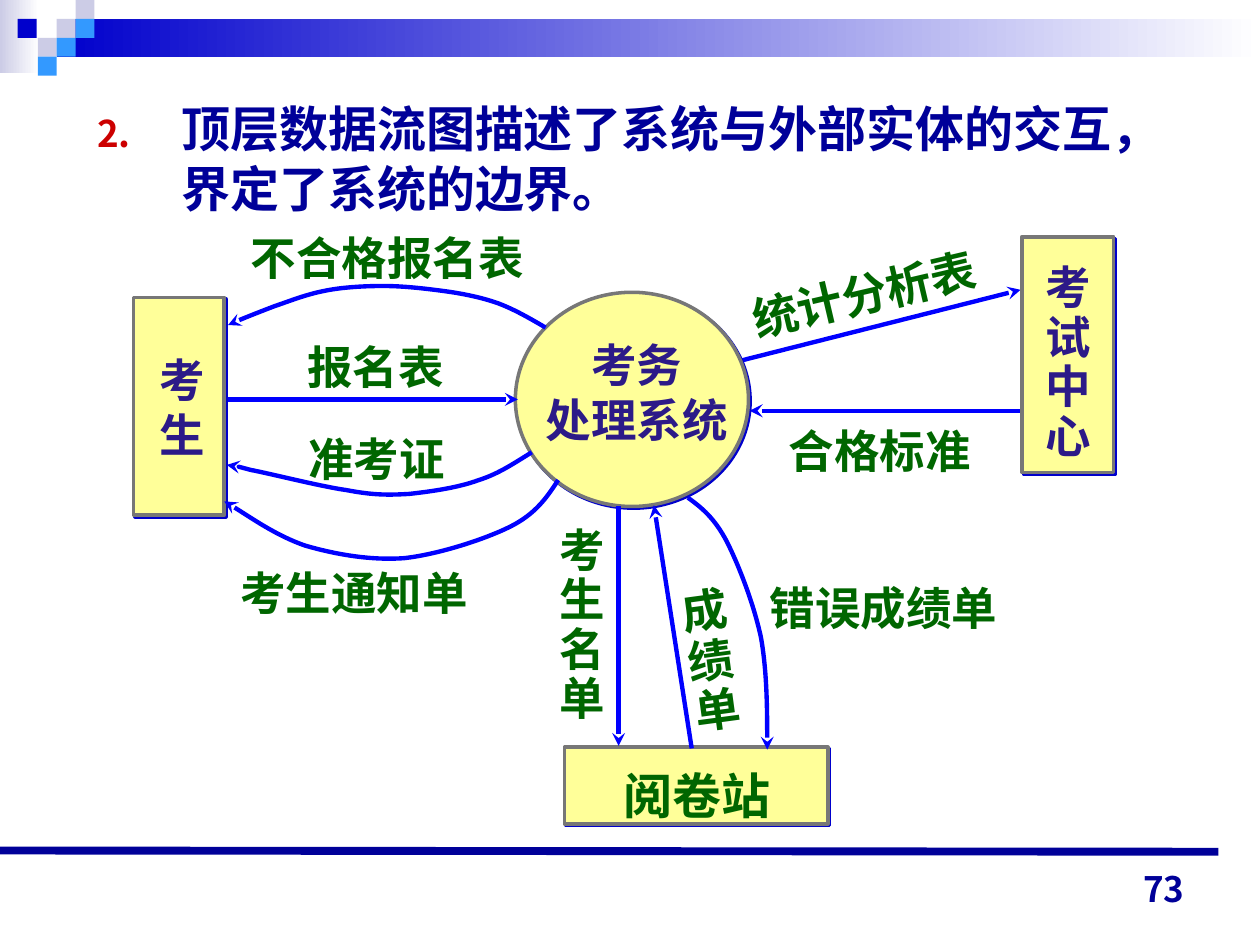
from dataclasses import dataclass

from lxml import etree
from pptx import Presentation
from pptx.dml.color import RGBColor
from pptx.enum.shapes import MSO_CONNECTOR, MSO_SHAPE
from pptx.enum.text import MSO_ANCHOR, MSO_AUTO_SIZE, PP_ALIGN
from pptx.oxml.ns import qn
from pptx.util import Pt

RECT, OVAL = MSO_SHAPE.RECTANGLE, MSO_SHAPE.OVAL
STRAIGHT = MSO_CONNECTOR.STRAIGHT
LEFT, CENTER, RIGHT = PP_ALIGN.LEFT, PP_ALIGN.CENTER, PP_ALIGN.RIGHT
TOP, BOTTOM = MSO_ANCHOR.TOP, MSO_ANCHOR.BOTTOM
NO_FIT = MSO_AUTO_SIZE.NONE
PX = 9144


@dataclass(frozen=True)
class Theme:
    font: str = "Noto Sans CJK SC"
    serif: str = "Times New Roman"
    number_font: str = "Noto Sans CJK JP"
    navy: str = "000099"
    blue: str = "0000CC"
    sky: str = "3399FF"
    pale: str = "CCCCE6"
    white: str = "FFFFFF"
    flow: str = "0000FF"
    node: str = "FFFF99"
    border: str = "777777"
    entity: str = "2C1A88"
    label: str = "006600"
    bullet: str = "CC0000"
    body_size: int = 28
    label_size: int = 26
    number_size: int = 20
    leading: float = 1.21
    tight: float = 1.09


T = Theme()


@dataclass(frozen=True)
class Node:
    kind: int
    box: tuple
    text_box: tuple
    lines: tuple
    color: str = T.entity
    size: int = T.label_size
    font: str = T.font
    align: int = LEFT
    leading: float = T.leading


@dataclass(frozen=True)
class Label:
    box: tuple
    lines: tuple
    leading: float = T.leading
    rotation: float = 0
    align: int = LEFT


NODES = (
    Node(RECT, (106, 236, 72, 173), (117, 270, 61, 97), ("考", "生")),
    Node(OVAL, (409, 232, 185, 170), (411, 258, 189, 97), ("考务", "处理系统"), align=CENTER),
    Node(RECT, (811, 188, 73, 187), (820, 201, 61, 166), tuple("考试中心"), leading=T.tight),
    Node(RECT, (448, 593, 209, 61), (485, 598, 138, 57), ("阅卷站",),
         T.label, T.body_size, T.serif),
)
LABELS = (
    Label((189, 173, 292, 53), ("不合格报名表",)),
    Label((234, 260, 137, 53), ("报名表",)),
    Label((235, 333, 189, 53), ("准考证",)),
    Label((181, 439, 260, 53), ("考生通知单",)),
    Label((536, 456, 71, 127), tuple("成绩单"), T.tight, -7.8),
    Label((616, 326, 181, 53), ("合格标准",)),
    Label((595, 455, 213, 49), ("错误成绩单",), T.tight, align=CENTER),
    Label((434, 409, 71, 166), ("考生名", "单"), T.tight),
    Label((584, 197, 244, 53), ("统计分析表",), rotation=-13.2),
)
ARROWS = (
    ((827, 326), (595, 326)),
    ((573, 290), (810, 230)),
    ((181, 317), (411, 317)),
    ((491, 402), (491, 592)),
    ((549, 594), (519, 401)),
)
CURVES = (
    ((433, 260), (421, 253), (409, 246), (396, 241), (382, 236), (367, 233), (352, 231),
     (337, 229), (320, 227), (304, 227), (289, 227), (271, 228), (257, 231),
     (242, 234), (230, 239), (218, 243), (205, 248), (187, 255), (181, 258)),
    ((422, 359), (409, 367), (396, 376), (380, 381), (364, 387), (343, 390), (325, 392),
     (308, 393), (296, 393), (275, 389), (254, 386), (215, 376), (199, 373),
     (184, 369), (184, 369), (180, 369)),
    ((443, 381), (434, 395), (425, 408), (405, 418), (385, 428), (348, 440), (321, 443),
     (294, 445), (266, 440), (242, 433), (219, 425), (189, 404), (178, 398)),
    ((546, 395), (557, 403), (567, 411), (577, 430), (586, 448), (598, 478), (604, 506),
     (609, 534), (609, 580), (609, 595)),
)
CELL = 15
SQUARES = (
    (45, 15, T.pale), (60, 0, T.pale), (60, 15, T.sky), (30, 30, T.pale),
    (14, 15, T.blue), (45, 30, T.sky), (30, 45, T.sky),
)


def rgb(value: str) -> RGBColor:
    return RGBColor.from_string(value)


def emu(values) -> list:
    return [v * PX for v in values]


def sub(parent, tag: str, **attrs):
    return etree.SubElement(parent, qn(tag), attrs)


def write(tf, lines, *, size=T.label_size, color=T.label, font=T.font,
          align=LEFT, leading=T.leading, anchor=TOP):
    tf.word_wrap, tf.auto_size, tf.vertical_anchor = True, NO_FIT, anchor
    tf.margin_left = tf.margin_right = 10 * PX
    tf.margin_top, tf.margin_bottom = 9 * PX, 5 * PX
    for i, line in enumerate(lines):
        p = tf.paragraphs[0] if i == 0 else tf.add_paragraph()
        p.alignment, p.space_before = align, Pt(0)
        p.line_spacing = Pt(round(size * leading, 1))
        r = p.add_run()
        r.text = line
        r.font.name, r.font.size, r.font.bold = font, Pt(size), True
        r.font.color.rgb = rgb(color)
        sub(r.font._element, "a:ea", typeface=T.font)


def add_text(s, box, lines, rotation=0, **fmt):
    sp = s.shapes.add_textbox(*emu(box))
    sp.rotation = rotation
    write(sp.text_frame, lines, **fmt)


def add_block(s, kind, box, fill, fade=False):
    sp = s.shapes.add_shape(kind, *emu(box))
    sp.shadow.inherit = False
    if fade:
        sp.fill.gradient()
        sp.fill.gradient_angle = 0
        for stop, color in zip(sp.fill.gradient_stops, (fill, T.white)):
            stop.color.rgb = rgb(color)
    else:
        sp.fill.solid()
        sp.fill.fore_color.rgb = rgb(fill)
    sp.line.fill.background()
    return sp


def add_node(s, node: Node):
    sp = add_block(s, node.kind, node.box, T.node)
    sp.line.color.rgb, sp.line.width = rgb(T.border), Pt(2)
    effects = sp._element.spPr.find(qn("a:effectLst"))
    shadow = sub(effects, "a:outerShdw", blurRad="0", dist="17780", dir="2700000", rotWithShape="0")
    sub(shadow, "a:srgbClr", val=T.blue)
    add_text(s, node.text_box, node.lines, size=node.size, color=node.color,
             font=node.font, align=node.align, leading=node.leading)


def style_line(sp, color=T.flow, width=2.5, arrow=True):
    sp.line.color.rgb, sp.line.width = rgb(color), Pt(width)
    if arrow:
        sub(sp.line._get_or_add_ln(), "a:tailEnd", type="stealth")


def add_line(s, start, end, **fmt):
    sp = s.shapes.add_connector(STRAIGHT, *emu(start + end))
    style_line(sp, **fmt)
    sub(sp._element.spPr, "a:effectLst")


def add_curve(s, points):
    fb = s.shapes.build_freeform(*points[0], scale=PX)
    fb.add_line_segments(points[1:], close=False)
    sp = fb.convert_to_shape()
    sp.shadow.inherit = False
    sp.fill.background()
    style_line(sp)
    outline = sp._element.spPr.find(".//" + qn("a:path"))
    segments = outline.findall(qn("a:lnTo"))
    for i in range(0, len(segments), 3):
        bezier = sub(outline, "a:cubicBezTo")
        for segment in segments[i:i + 3]:
            bezier.append(segment[0])
            outline.remove(segment)


def add_body(s, text: str):
    sp = s.placeholders[1]
    sp.left, sp.top, sp.width, sp.height = emu((67, 69, 900, 425))
    pPr = sp.text_frame.paragraphs[0]._p.get_or_add_pPr()
    pPr.set("marL", str(67 * PX))
    pPr.set("indent", str(-67 * PX))
    sub(sub(pPr, "a:buClr"), "a:srgbClr", val=T.bullet)
    sub(pPr, "a:buSzPct", val="75000")
    sub(pPr, "a:buFont", typeface=T.font)
    sub(pPr, "a:buAutoNum", type="arabicPeriod", startAt="2")
    write(sp.text_frame, (text,), size=T.body_size, color=T.navy, font=T.serif)


def main():
    prs = Presentation()
    prs.slide_width, prs.slide_height = emu((1000, 750))
    s = prs.slides.add_slide(prs.slide_layouts[1])
    title = s.shapes.title._element
    title.getparent().remove(title)
    add_body(s, "顶层数据流图描述了系统与外部实体的交互，界定了系统的边界。")
    add_block(s, RECT, (0, 0, 31, 58), T.pale, fade=True)
    add_block(s, RECT, (45, 15, 955, 30), T.blue, fade=True)
    for x, y, color in SQUARES:
        add_block(s, RECT, (x, y, CELL, CELL), color)
    add_line(s, (0, 675), (967, 676), color=T.navy, width=4.5, arrow=False)
    for start, end in ARROWS[:2]:
        add_line(s, start, end)
    for node in NODES:
        add_node(s, node)
    for start, end in ARROWS[2:]:
        add_line(s, start, end)
    for label in LABELS:
        add_text(s, label.box, label.lines, label.rotation,
                 leading=label.leading, align=label.align)
    for points in CURVES:
        add_curve(s, points)
    add_text(s, (717, 677, 233, 50), ("73",), size=T.number_size, color=T.navy,
             font=T.number_font, align=RIGHT, anchor=BOTTOM)
    prs.save("out.pptx")


if __name__ == "__main__":
    main()
